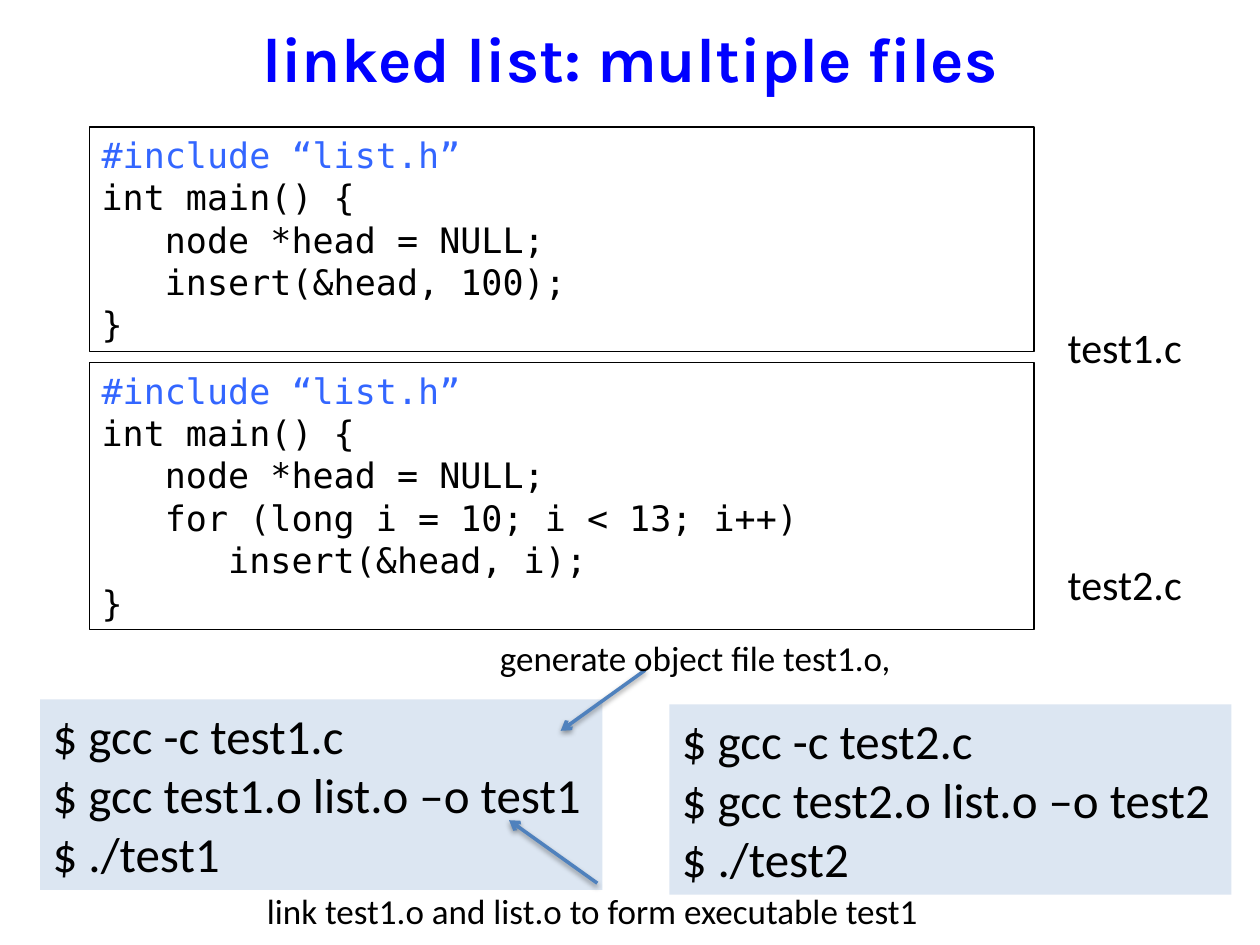
from dataclasses import dataclass

from lxml.etree import SubElement
from pptx import Presentation
from pptx.dml.color import RGBColor
from pptx.enum.shapes import MSO_CONNECTOR, MSO_SHAPE
from pptx.enum.text import MSO_ANCHOR, PP_ALIGN
from pptx.oxml.ns import qn
from pptx.util import Pt


@dataclass(frozen=True)
class Theme:
    title: RGBColor = RGBColor(0x00, 0x00, 0xFF)
    text: RGBColor = RGBColor(0x00, 0x00, 0x00)
    directive: RGBColor = RGBColor(0x33, 0x66, 0xFF)
    panel: RGBColor = RGBColor(0xDC, 0xE6, 0xF2)
    arrow: RGBColor = RGBColor(0x4F, 0x81, 0xBD)
    heading_font: str = "Karla"
    body_font: str = "Calibri"
    code_font: str = "DejaVu Sans Mono"
    title_size: int = 36
    command_size: int = 28
    label_size: int = 24
    code_size: int = 20
    note_size: int = 20
    code_leading: float = 24.2


THEME = Theme()


def apply_format(target, values):
    for name, value in values.items():
        setattr(target, name, value)


def write_lines(shape, lines, font, size, color=THEME.text, wrap=False,
                anchor=MSO_ANCHOR.TOP, bold=False, **paragraph_format):
    frame = shape.text_frame
    apply_format(frame, {"word_wrap": wrap, "vertical_anchor": anchor})
    for index, line in enumerate(lines):
        paragraph = frame.paragraphs[0] if index == 0 else frame.add_paragraph()
        apply_format(paragraph, {"alignment": PP_ALIGN.LEFT, **paragraph_format})
        run = paragraph.add_run()
        run.text = line
        apply_format(run.font, {"name": font, "size": Pt(size), "bold": bold})
        run.font.color.rgb = THEME.directive if line.startswith("#") else color


def add_text(slide, box, lines, font, size, **options):
    shape = slide.shapes.add_textbox(*map(Pt, box))
    write_lines(shape, lines, font, size, **options)


def add_panel(slide, box, fill=None, line=None):
    shape = slide.shapes.add_shape(MSO_SHAPE.RECTANGLE, *map(Pt, box))
    shape.shadow.inherit = False
    if fill is None:
        shape.fill.background()
    else:
        shape.fill.solid()
        shape.fill.fore_color.rgb = fill
    if line is None:
        shape.line.fill.background()
    else:
        shape.line.color.rgb = line
        shape.line.width = Pt(0.75)
    return shape


def add_title(slide, box, title):
    add_text(slide, box, [title], THEME.heading_font, THEME.title_size,
             color=THEME.title, wrap=True, anchor=MSO_ANCHOR.MIDDLE, bold=True,
             alignment=PP_ALIGN.CENTER)


def add_source_file(slide, box, name, label_offset, code):
    left, top, width, height = box
    panel = add_panel(slide, box, line=THEME.text)
    write_lines(panel, code.splitlines(), THEME.code_font, THEME.code_size,
                wrap=True, line_spacing=Pt(THEME.code_leading))
    add_text(slide, (left + width + 12, top + label_offset, 80.6, 36), [name],
             THEME.body_font, THEME.label_size)


def add_commands(slide, box, target):
    panel = add_panel(slide, box, fill=THEME.panel)
    commands = [f"$ gcc -c {target}.c", f"$ gcc {target}.o list.o –o {target}",
                f"$ ./{target}"]
    write_lines(panel, commands, THEME.body_font, THEME.command_size)


def add_arrow(slide, start, end):
    connector = slide.shapes.add_connector(
        MSO_CONNECTOR.STRAIGHT, *map(Pt, (*start, *end)))
    connector.line.color.rgb = THEME.arrow
    connector.line.width = Pt(2)
    SubElement(connector.line._get_or_add_ln(), qn("a:tailEnd"), type="arrow")
    effects = SubElement(connector._element.spPr, qn("a:effectLst"))
    shadow = SubElement(effects, qn("a:outerShdw"), blurRad=str(Pt(3.1)),
                        dist=str(Pt(1.6)), dir="5400000", rotWithShape="0")
    color = SubElement(shadow, qn("a:srgbClr"), val=str(THEME.text))
    SubElement(color, qn("a:alpha"), val="38000")


def add_note(slide, box, text, arrow_start, arrow_end):
    left, top = box[:2]
    start, end = ((left + x, top + y) for x, y in (arrow_start, arrow_end))
    add_arrow(slide, start, end)
    add_text(slide, box, [text], THEME.body_font, THEME.note_size)


TEST1_CODE = """#include “list.h”
int main() {
   node *head = NULL;
   insert(&head, 100);
}"""

TEST2_CODE = """#include “list.h”
int main() {
   node *head = NULL;
   for (long i = 10; i < 13; i++)
      insert(&head, i);
}"""


def main():
    presentation = Presentation()
    apply_format(presentation, {"slide_width": Pt(720), "slide_height": Pt(540)})
    slide = presentation.slides.add_slide(presentation.slide_layouts[6])

    add_title(slide, (36, -12.2, 648, 90), "linked list: multiple files")
    add_source_file(slide, (51, 72.5, 540, 128.2), "test1.c", 107.5, TEST1_CODE)
    add_source_file(slide, (51, 207.2, 540, 152.6), "test2.c", 108.2, TEST2_CODE)
    add_commands(slide, (23, 399.7, 321.2, 108.8), "test1")
    add_note(slide, (278.6, 360, 241.2, 31.5), "generate object file test1.o,",
             (90, 23), (41.8, 57.6))
    add_note(slide, (145.4, 504.7, 392.4, 31.5),
             "link test1.o and list.o to form executable test1",
             (195.9, 0), (145.5, -36))
    add_commands(slide, (382.5, 402.5, 321.2, 108.8), "test2")

    presentation.save("out.pptx")


if __name__ == "__main__":
    main()
